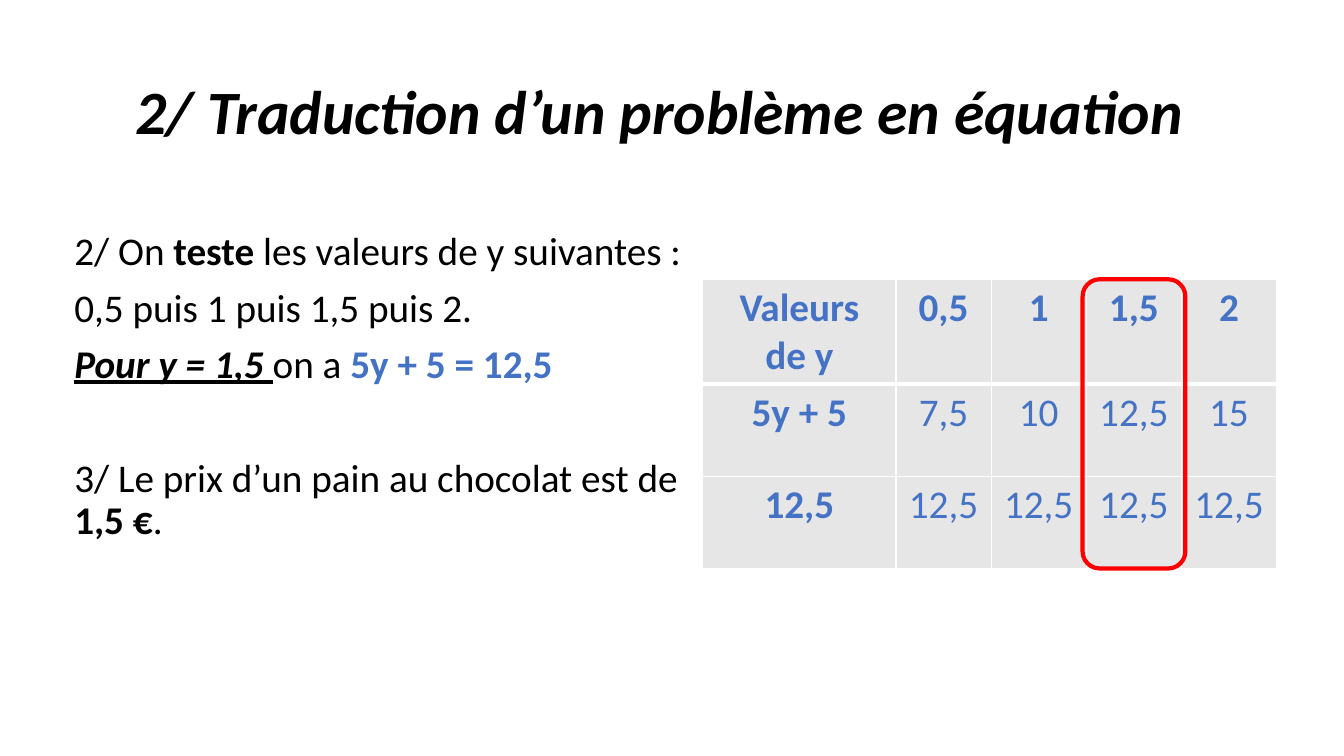
from lxml.etree import SubElement
from pptx import Presentation
from pptx.dml.color import RGBColor
from pptx.enum.shapes import MSO_SHAPE as SHAPE
from pptx.enum.text import MSO_ANCHOR as ANCHOR, PP_ALIGN as ALIGN
from pptx.oxml.ns import qn
from pptx.util import Pt

BLACK = RGBColor(0x00, 0x00, 0x00)
BLUE = RGBColor(0x44, 0x72, 0xC4)
GREY = RGBColor(0xE7, 0xE6, 0xE6)
RED = RGBColor(0xFF, 0x00, 0x00)
BORDER = "FFFFFF"
FONT = "Calibri"
TITLE_SIZE, TEXT_SIZE = 44, 28

COL_WIDTHS = [138, 68, 68, 68, 68]
ROW_HEIGHTS = [74.6, 66, 66]
SOLUTION_COL = 3
VALUES = [
    ["Valeurs\nde y", "0,5", "1", "1,5", "2"],
    ["5y + 5", "7,5", "10", "12,5", "15"],
    ["12,5", "12,5", "12,5", "12,5", "12,5"],
]
STEPS = [
    (10, [("2/ On ", ""), ("teste", "b"), (" les valeurs de y suivantes :", "")]),
    (10, [("0,5 puis 1 puis 1,5 puis 2.", "")]),
    (10, [("Pour y = 1,5 ", "biu"), ("on a ", ""), ("5y + 5 = 12,5", "bc")]),
    (51, [("3/ Le prix d’un pain au chocolat est de ", ""), ("1,5 €", "b"), (".", "")]),
]


def add_run(p, text, style="", size=TEXT_SIZE):
    r = p.add_run()
    r.text = text
    f = r.font
    f.name, f.size = FONT, Pt(size)
    f.bold, f.italic, f.underline = "b" in style, "i" in style, "u" in style
    f.color.rgb = BLUE if "c" in style else BLACK


def add_text_frame(slide, left, top, width, height):
    tf = slide.shapes.add_textbox(Pt(left), Pt(top), Pt(width), Pt(height)).text_frame
    tf.word_wrap = True
    return tf


def add_title(slide, left, top, width, height):
    tf = add_text_frame(slide, left, top, width, height)
    tf.vertical_anchor = ANCHOR.BOTTOM
    p = tf.paragraphs[0]
    p.alignment = ALIGN.CENTER
    p.line_spacing = 0.9
    add_run(p, "2/ Traduction d’un problème en équation", "bi", TITLE_SIZE)


def add_steps(slide, left, top, width, height):
    tf = add_text_frame(slide, left, top, width, height)
    for i, (gap, runs) in enumerate(STEPS):
        p = tf.add_paragraph() if i else tf.paragraphs[0]
        p.line_spacing = 0.9
        p.space_before = Pt(gap)
        for text, style in runs:
            add_run(p, text, style)


def set_borders(cell, top, bottom):
    tc_pr = cell._tc.get_or_add_tcPr()
    for i, (side, width) in enumerate([("L", 1), ("R", 1), ("T", top), ("B", bottom)]):
        ln = tc_pr.makeelement(qn(f"a:ln{side}"), {"w": str(Pt(width))})
        SubElement(SubElement(ln, qn("a:solidFill")), qn("a:srgbClr"), val=BORDER)
        tc_pr.insert(i, ln)


def add_value_table(slide, left, top):
    width, height = sum(COL_WIDTHS), sum(ROW_HEIGHTS)
    table = slide.shapes.add_table(
        len(ROW_HEIGHTS), len(COL_WIDTHS), Pt(left), Pt(top), Pt(width), Pt(height)
    ).table
    for col, w in zip(table.columns, COL_WIDTHS):
        col.width = Pt(w)
    for row, h in zip(table.rows, ROW_HEIGHTS):
        row.height = Pt(h)
    for r, row in enumerate(VALUES):
        for c, value in enumerate(row):
            cell = table.cell(r, c)
            cell.fill.solid()
            cell.fill.fore_color.rgb = GREY
            set_borders(cell, 3 if r == 1 else 1, 3 if r == 0 else 1)
            tf = cell.text_frame
            for i, line in enumerate(value.split("\n")):
                p = tf.add_paragraph() if i else tf.paragraphs[0]
                p.alignment = ALIGN.CENTER
                add_run(p, line, "bc" if r == 0 or c == 0 else "c")


def add_solution_frame(slide, left, top):
    margin = 2.7
    x = left + sum(COL_WIDTHS[:SOLUTION_COL]) - margin
    width = COL_WIDTHS[SOLUTION_COL] + 2 * margin
    sp = slide.shapes.add_shape(
        SHAPE.ROUNDED_RECTANGLE, Pt(x), Pt(top), Pt(width), Pt(sum(ROW_HEIGHTS))
    )
    sp.shadow.inherit = False
    sp.fill.background()
    sp.line.color.rgb = RED
    sp.line.width = Pt(3)


def main():
    prs = Presentation()
    prs.slide_width, prs.slide_height = Pt(960), Pt(540)
    slide = prs.slides.add_slide(prs.slide_layouts[6])
    add_title(slide, 66, 36, 811, 73)
    add_value_table(slide, 502, 199.5)
    add_steps(slide, 46, 162, 456, 300)
    add_solution_frame(slide, 502, 199.5)
    prs.save("out.pptx")


if __name__ == "__main__":
    main()
